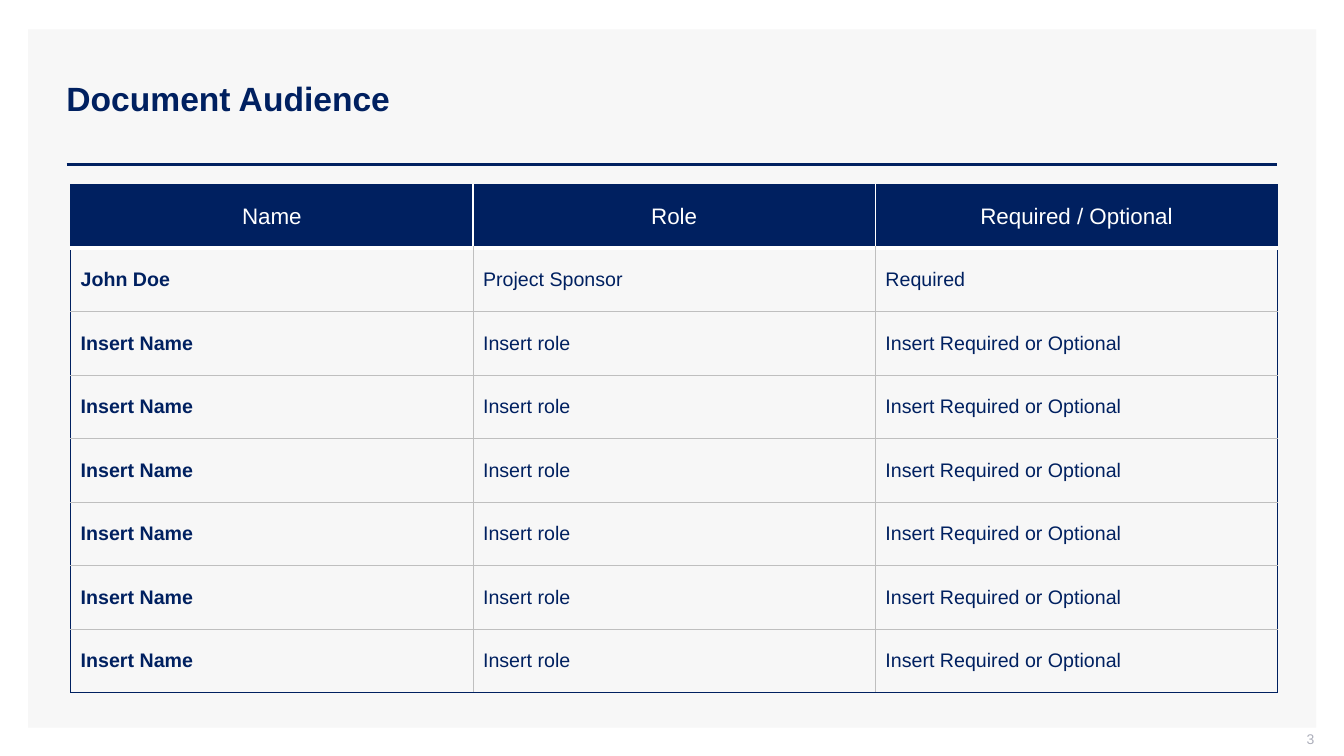
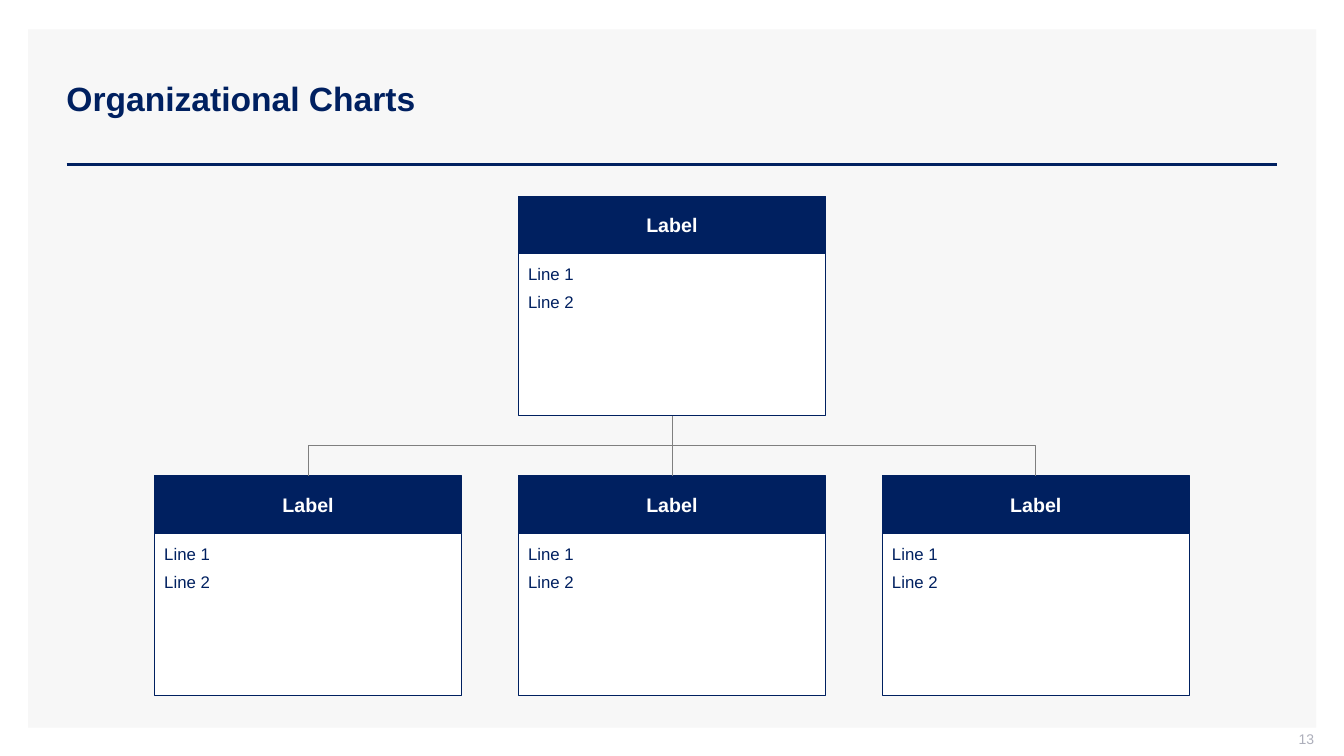
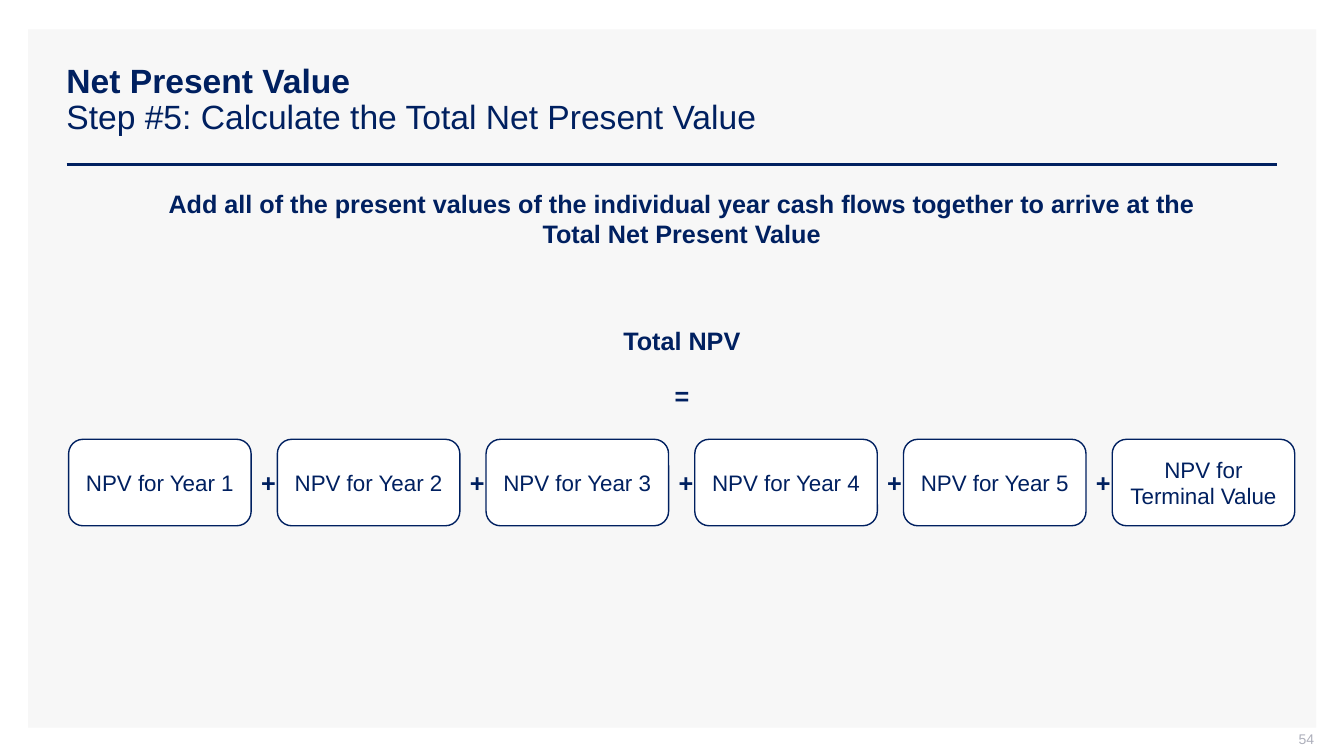
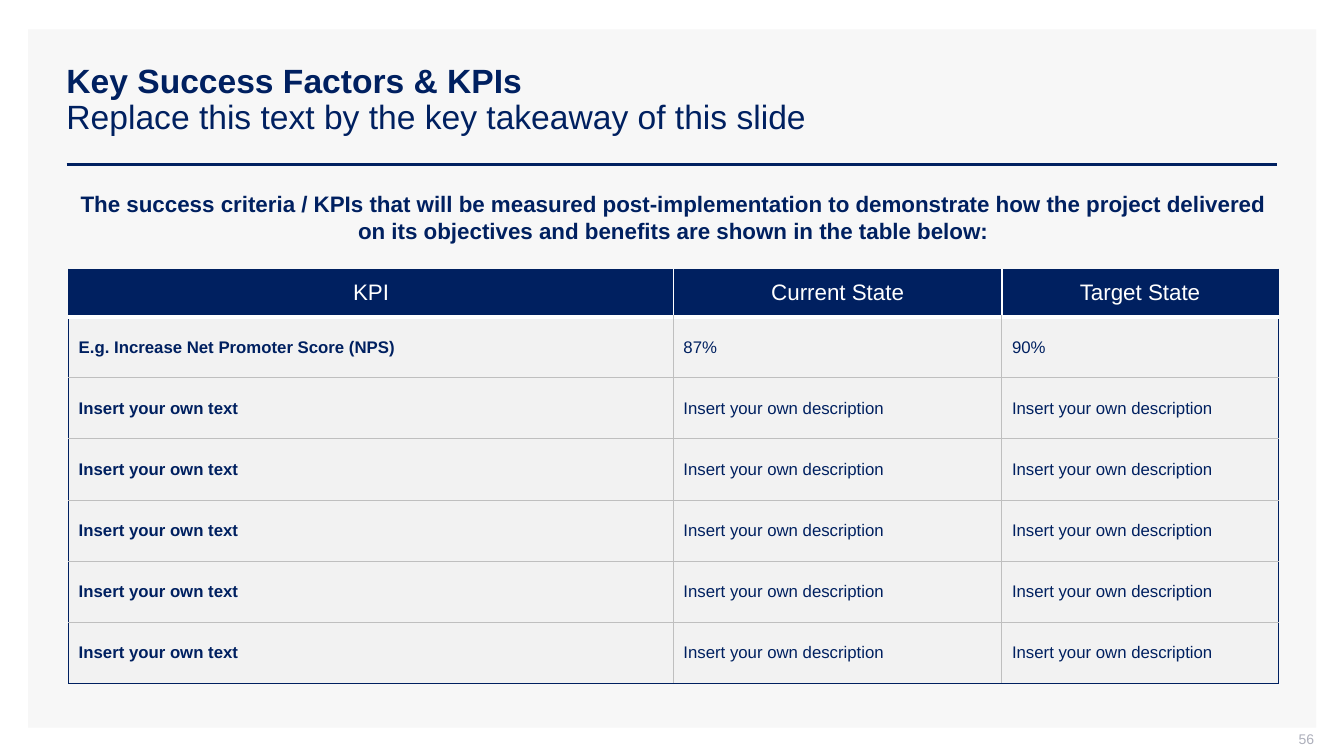
from lxml import etree
from pptx import Presentation
from pptx.dml.color import RGBColor
from pptx.enum.shapes import MSO_CONNECTOR, MSO_SHAPE
from pptx.enum.text import MSO_ANCHOR, MSO_AUTO_SIZE, PP_ALIGN
from pptx.oxml.ns import qn
from pptx.util import Cm, Pt

# Shared style
NAVY = RGBColor(0x00, 0x20, 0x60)
WHITE = RGBColor(0xFF, 0xFF, 0xFF)
PANEL_GREY = RGBColor(0xF7, 0xF7, 0xF7)
CELL_GREY = RGBColor(0xF2, 0xF2, 0xF2)
RULE_GREY = RGBColor(0xBF, 0xBF, 0xBF)
LINK_GREY = RGBColor(0x7F, 0x7F, 0x7F)
NUMBER_GREY = RGBColor(0xAD, 0xAF, 0xBB)
FONT = "Arial"

LEFT, CENTER, RIGHT = PP_ALIGN.LEFT, PP_ALIGN.CENTER, PP_ALIGN.RIGHT
TOP, MIDDLE = MSO_ANCHOR.TOP, MSO_ANCHOR.MIDDLE
RECTANGLE, ROUNDED = MSO_SHAPE.RECTANGLE, MSO_SHAPE.ROUNDED_RECTANGLE
STRAIGHT, ELBOW = MSO_CONNECTOR.STRAIGHT, MSO_CONNECTOR.ELBOW
NO_FIT, GROW = MSO_AUTO_SIZE.NONE, MSO_AUTO_SIZE.SHAPE_TO_FIT_TEXT

TITLE_ONLY = 5
BOTTOM_SITE, TOP_SITE = 2, 0

# Table borders: colour and width in points
OUTER = (NAVY, 0.75)
INNER = (RULE_GREY, 0.75)
HEADER_SIDE = (WHITE, 1)
HEADER_BOTTOM = (WHITE, 3)


# Text and shapes
def write(frame, text, size, color=NAVY, bold=False, align=LEFT, before=0, after=0):
    frame.text = text
    frame.word_wrap = True
    for paragraph in frame.paragraphs:
        paragraph.alignment = align
        paragraph.space_before = Pt(before)
        paragraph.space_after = Pt(after)
        for run in paragraph.runs:
            run.font.name = FONT
            run.font.size = Pt(size)
            run.font.bold = bold
            run.font.color.rgb = color


def set_insets(frame, inset):
    frame.margin_left = frame.margin_right = inset
    frame.margin_top = frame.margin_bottom = inset


def add_box(slide, kind, x, y, width, height, fill, line_width=None):
    box = slide.shapes.add_shape(kind, Cm(x), Cm(y), Cm(width), Cm(height))
    box.shadow.inherit = False
    box.fill.solid()
    box.fill.fore_color.rgb = fill
    if line_width is None:
        box.line.fill.background()
    else:
        box.line.color.rgb = NAVY
        box.line.width = Pt(line_width)
    return box


def add_statement(slide, text, x, y, width, height, size=18, spacing=3):
    statement = slide.shapes.add_textbox(Cm(x), Cm(y), Cm(width), Cm(height))
    frame = statement.text_frame
    write(frame, text, size, bold=True, align=CENTER, before=spacing, after=spacing)
    frame.auto_size = GROW
    return frame


def style_connector(connector, color, width):
    connector.line.color.rgb = color
    connector.line.width = Pt(width)
    etree.SubElement(connector.element.spPr, qn("a:effectLst"))


# Slide frame
def decorate_layout(slide):
    """Put the grey panel and the title rule on the slide's layout."""
    panel = add_box(slide, RECTANGLE, 0.71, 0.74, 32.46, 17.6, PANEL_GREY)
    rule = slide.shapes.add_connector(STRAIGHT, Cm(1.68), Cm(4.14), Cm(32.18), Cm(4.14))
    style_connector(rule, NAVY, 2)
    layout_tree = slide.slide_layout.shapes.element
    for offset, part in enumerate((panel, rule)):
        part.element.xpath(".//p:cNvPr")[0].set("id", str(101 + offset))
        layout_tree.insert(2 + offset, part.element)


def add_slide(prs, heading, number, takeaway=None):
    slide = prs.slides.add_slide(prs.slide_layouts[TITLE_ONLY])
    title = slide.shapes.title
    title.left, title.top = Cm(1.42), Cm(1.02)
    title.width, title.height = Cm(30.76), Cm(3.02)
    frame = title.text_frame
    write(frame, f"{heading}\v{takeaway}" if takeaway else heading, 24, bold=True)
    frame.auto_size = NO_FIT
    frame.vertical_anchor = MIDDLE
    frame.paragraphs[0].line_spacing = 0.9
    for takeaway_run in frame.paragraphs[0].runs[1:]:
        takeaway_run.font.bold = False

    page = slide.shapes.add_textbox(Cm(25.5), Cm(18.42), Cm(7.62), Cm(0.53)).text_frame
    write(page, str(number), 10, NUMBER_GREY, align=RIGHT)
    page.vertical_anchor = MIDDLE
    page.margin_top = page.margin_right = 0
    return slide


# Tables
def set_borders(cell, **borders):
    properties = cell._tc.get_or_add_tcPr()
    for side in "LRTB":
        color, width = borders[side]
        line = etree.SubElement(properties, qn(f"a:ln{side}"), w=str(Pt(width)))
        fill = etree.SubElement(line, qn("a:solidFill"))
        etree.SubElement(fill, qn("a:srgbClr"), val=str(color))


def add_grid(slide, rows, x, y, column_widths, header_height, row_height, size, body_fill=None):
    last_row, last_column = len(rows) - 1, len(column_widths) - 1
    table = slide.shapes.add_table(
        len(rows), len(column_widths), Cm(x), Cm(y),
        Cm(sum(column_widths)), Cm(header_height + row_height * last_row)).table
    table.horz_banding = False
    for column, width in zip(table.columns, column_widths):
        column.width = Cm(width)

    for r, texts in enumerate(rows):
        header = r == 0
        table.rows[r].height = Cm(header_height if header else row_height)
        side = HEADER_SIDE if header else INNER
        if header:
            above, below = OUTER, HEADER_BOTTOM
        else:
            above = HEADER_SIDE if r == 1 else INNER
            below = OUTER if r == last_row else INNER
        for c, text in enumerate(texts):
            cell = table.cell(r, c)
            cell.vertical_anchor = MIDDLE
            if header:
                write(cell.text_frame, text, 16, WHITE, align=CENTER)
            else:
                write(cell.text_frame, text, size, bold=c == 0)
            set_borders(cell, L=OUTER if c == 0 else side,
                        R=OUTER if c == last_column else side, T=above, B=below)
            fill = NAVY if header else body_fill
            if fill is None:
                cell.fill.background()
            else:
                cell.fill.solid()
                cell.fill.fore_color.rgb = fill


# Organizational chart
def add_card(slide, x, y):
    """Draw a labelled card; return its header and body."""
    width, header_height, body_height = 7.75, 1.45, 4.09
    header = add_box(slide, RECTANGLE, x, y, width, header_height, NAVY, 0.5)
    write(header.text_frame, "Label", 14, WHITE, bold=True, align=CENTER)
    header.text_frame.vertical_anchor = MIDDLE
    body = add_box(slide, RECTANGLE, x, y + header_height, width, body_height, WHITE, 0.5)
    write(body.text_frame, "Line 1\nLine 2", 12, after=6)
    body.text_frame.vertical_anchor = TOP
    for part in (header, body):
        set_insets(part.text_frame, Cm(0.25))
    return header, body


def link_cards(slide, parent, child):
    kind = STRAIGHT if parent.left == child.left else ELBOW
    link = slide.shapes.add_connector(kind, 0, 0, 0, 0)
    link.begin_connect(parent, BOTTOM_SITE)
    link.end_connect(child, TOP_SITE)
    style_connector(link, LINK_GREY, 0.5)
    if kind == ELBOW:
        turn_elbow(link)


def turn_elbow(link):
    """Rotate an elbow so that it leaves downwards instead of sideways."""
    across, down = link.end_x - link.begin_x, link.end_y - link.begin_y
    middle_x = (link.begin_x + link.end_x) // 2
    middle_y = (link.begin_y + link.end_y) // 2
    link.width, link.height = down, abs(across)
    link.left, link.top = middle_x - down // 2, middle_y - abs(across) // 2
    frame = link.element.spPr.find(qn("a:xfrm"))
    frame.set("rot", "16200000" if across > 0 else "5400000")
    frame.set("flipH", "1" if across > 0 else "0")
    frame.set("flipV", "0")


# Slides
def build_audience(prs):
    slide = add_slide(prs, "Document Audience", 3)
    decorate_layout(slide)
    rows = [("Name", "Role", "Required / Optional"),
            ("John Doe", "Project Sponsor", "Required")]
    rows += [("Insert Name", "Insert role", "Insert Required or Optional")] * 6
    add_grid(slide, rows, 1.78, 4.65, [10.14] * 3, 1.6, 1.6, 14)


def build_org_chart(prs):
    slide = add_slide(prs, "Organizational Charts", 13)
    first_x, pitch = 3.89, 9.17
    _, parent = add_card(slide, first_x + pitch, 4.94)
    for i in range(3):
        child, _ = add_card(slide, first_x + i * pitch, 11.99)
        link_cards(slide, parent, child)


def build_net_present_value(prs):
    slide = add_slide(prs, "Net Present Value", 54,
                      "Step #5: Calculate the Total Net Present Value")
    summary = add_statement(
        slide, "Add all of the present values of the individual year cash flows "
        "together to arrive at the Total Net Present Value",
        4.24, 4.75, 25.88, 1.55, spacing=5)
    set_insets(summary, 0)
    add_statement(slide, "Total NPV", 15.09, 8.08, 4.19, 1.02)
    add_statement(slide, "=", 15.09, 9.45, 4.19, 1.02)

    terms = [f"NPV for Year {year}" for year in range(1, 6)] + ["NPV for Terminal Value"]
    width, gap = 4.6, 0.66
    for i, term in enumerate(terms):
        x = 1.73 + i * (width + gap)
        if i > 0:
            add_statement(slide, "+", x - gap, 11.66, gap, 1.02)
        box = add_box(slide, ROUNDED, x, 11.07, width, 2.18, WHITE, 1)
        write(box.text_frame, term, 16, align=CENTER)
        box.text_frame.vertical_anchor = MIDDLE


def build_kpis(prs):
    slide = add_slide(prs, "Key Success Factors & KPIs", 56,
                      "Replace this text by the key takeaway of this slide")
    add_statement(
        slide, "The success criteria / KPIs that will be measured post-implementation "
        "to demonstrate how the project delivered on its objectives and benefits "
        "are shown in the table below:", 1.73, 4.67, 30.48, 1.63, size=16, spacing=0)
    rows = [("KPI", "Current State", "Target State"),
            ("E.g. Increase Net Promoter Score (NPS)", "87%", "90%")]
    rows += [("Insert your own text",) + ("Insert your own description",) * 2] * 5
    add_grid(slide, rows, 1.73, 6.78, [15.24, 8.28, 6.96], 1.2, 1.54, 12, CELL_GREY)


def main():
    prs = Presentation()
    prs.slide_width, prs.slide_height = Cm(33.87), Cm(19.05)
    build_audience(prs)
    build_org_chart(prs)
    build_net_present_value(prs)
    build_kpis(prs)
    prs.save("out.pptx")


if __name__ == "__main__":
    main()
